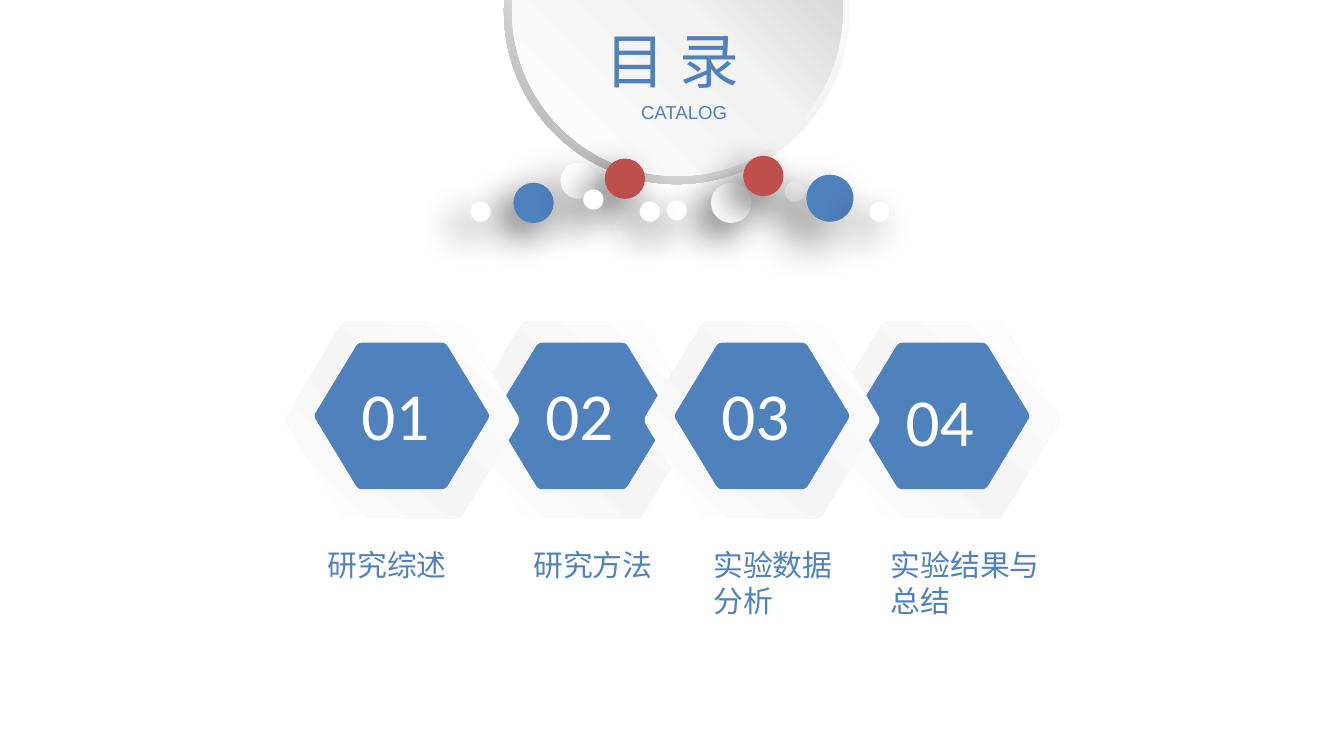
from lxml import etree
from pptx import Presentation
from pptx.dml.color import RGBColor
from pptx.enum import shapes, text
from pptx.oxml.ns import qn
from pptx.util import Inches, Pt

BLUE, RED, WHITE = "4F81BD", "C0504D", "FFFFFF"
CJK_FONT = "Noto Sans CJK SC"

# left, top, diameter, colour, shadow (opacity %, blur pt, distance pt)
NEAR, FAR = (60, 20, 10), (50, 25, 15)
BEADS = [
    (5.29, 1.36, 0.3, WHITE, NEAR),
    (4.96, 1.49, 0.15, WHITE, NEAR),
    (5.84, 1.35, 0.15, WHITE, NEAR),
    (4.17, 1.21, 0.27, WHITE, FAR),
    (4.5, 1.18, 0.3, RED, NEAR),
    (4.76, 1.5, 0.15, WHITE, NEAR),
    (6, 1.3, 0.35, BLUE, FAR),
    (3.82, 1.36, 0.3, BLUE, NEAR),
    (3.5, 1.5, 0.15, WHITE, NEAR),
    (5.53, 1.16, 0.3, RED, NEAR),
    (4.34, 1.41, 0.15, WHITE, NEAR),
    (6.47, 1.5, 0.15, WHITE, NEAR),
]

# chapter index, number box (left, top, width); later ones overlap earlier ones
CHAPTERS = [
    (3, 6.64, 2.77, 0.92),
    (1, 3.96, 2.72, 0.85),
    (0, 2.59, 2.72, 0.86),
    (2, 5.27, 2.72, 0.97),
]
FIRST_CENTER, CHAPTER_STEP = 2.99, 1.34

# label, left, width, height
LABELS = [
    ("研究综述", 2.34, 1.33, 0.37),
    ("研究方法", 3.87, 1.12, 0.37),
    ("实验数据分析", 5.21, 1.12, 0.64),
    ("实验结果与总结", 6.53, 1.43, 0.64),
]


def rgb(color):
    return RGBColor.from_string(color)


def paint(shape, color):
    """Give a shape a plain fill, with no outline and no shadow."""
    shape.shadow.inherit = False
    shape.line.fill.background()
    shape.fill.solid()
    shape.fill.fore_color.rgb = rgb(color)


def paint_gradient(shape, stops, angle):
    """Fill with (percent, colour) stops; the angle runs clockwise."""
    paint(shape, WHITE)
    shape.fill.gradient()
    shape.fill.gradient_angle = 360 - angle
    stop_list = shape._element.spPr.find(qn("a:gradFill")).find(qn("a:gsLst"))
    for old_stop in list(stop_list):
        stop_list.remove(old_stop)
    for percent, color in stops:
        stop = etree.SubElement(stop_list, qn("a:gs"), pos=str(percent * 1000))
        etree.SubElement(stop, qn("a:srgbClr"), val=color)


def add_shadow(shape, opacity, blur, distance):
    effects = shape._element.spPr.find(qn("a:effectLst"))
    shadow = etree.SubElement(
        effects, qn("a:outerShdw"), blurRad=str(Pt(blur)), dist=str(Pt(distance)),
        dir=str(135 * 60000), algn="tr", rotWithShape="0")
    color = etree.SubElement(shadow, qn("a:srgbClr"), val="000000")
    etree.SubElement(color, qn("a:alpha"), val=str(opacity * 1000))


def add_round(slide, kind, left, top, diameter):
    return slide.shapes.add_shape(
        kind, Inches(left), Inches(top), Inches(diameter), Inches(diameter))


def add_hexagon(slide, center_x, top, width, height):
    """Draw a flat-topped hexagon whose corners are softened by short curves."""
    tip, shoulder, half = 0.505 * width, 0.25 * width, height / 2
    center_y = top + half
    corners = [(tip, 0), (shoulder, half), (-shoulder, half),
               (-tip, 0), (-shoulder, -half), (shoulder, -half)]
    cut, steps = 0.05, 6
    points = []
    for i, (x, y) in enumerate(corners):
        before, after = corners[i - 1], corners[(i + 1) % 6]
        for step in range(steps + 1):
            t = step / steps
            back, ahead = cut * (1 - t) ** 2, cut * t ** 2
            points.append((
                Inches(center_x + x + back * (before[0] - x) + ahead * (after[0] - x)),
                Inches(center_y + y + back * (before[1] - y) + ahead * (after[1] - y))))
    builder = slide.shapes.build_freeform(*points[0])
    builder.add_line_segments(points[1:], close=True)
    return builder.convert_to_shape()


def add_text(slide, words, left, top, width, height, size, font, color=BLUE,
             anchor=text.MSO_ANCHOR.TOP, align=text.PP_ALIGN.LEFT):
    box = slide.shapes.add_textbox(
        Inches(left), Inches(top), Inches(width), Inches(height))
    frame = box.text_frame
    frame.word_wrap = True
    frame.vertical_anchor = anchor
    paragraph = frame.paragraphs[0]
    paragraph.text = words
    paragraph.alignment = align
    paragraph.font.size = Pt(size)
    paragraph.font.name = font
    paragraph.font.color.rgb = rgb(color)


def add_header(slide):
    ring = add_round(slide, shapes.MSO_SHAPE.DONUT, 3.75, -1.2, 2.57)
    ring.adjustments[0] = 0.049
    paint_gradient(ring, [(0, WHITE), (55, "F2F2F2"), (100, "A6A6A6")], 135)
    disc = add_round(slide, shapes.MSO_SHAPE.OVAL, 3.81, -1.15, 2.46)
    paint_gradient(disc, [(0, WHITE), (51, "F2F2F2"), (100, "BFBFBF")], 315)
    for left, top, diameter, color, shadow in BEADS:
        bead = add_round(slide, shapes.MSO_SHAPE.OVAL, left, top, diameter)
        paint(bead, color)
        add_shadow(bead, *shadow)
    add_text(slide, "目 录", 4.41, 0.13, 1.35, 0.64, 32, CJK_FONT)
    add_text(slide, "CATALOG", 4.34, 0.62, 1.5, 0.42, 10, "Arial",
             anchor=text.MSO_ANCHOR.MIDDLE, align=text.PP_ALIGN.CENTER)


def add_chapter(slide, index, left, top, width):
    center = FIRST_CENTER + index * CHAPTER_STEP
    paint(add_hexagon(slide, center, 2.38, 1.75, 1.49), WHITE)
    paint_gradient(add_hexagon(slide, center, 2.39, 1.74, 1.47),
                   [(0, WHITE), (47, "F5F5F5"), (100, WHITE)], 315)
    paint(add_hexagon(slide, center, 2.55, 1.3, 1.09), BLUE)
    add_text(slide, f"{index + 1:02}", left, top, width, 0.71, 36, "Calibri",
             WHITE, text.MSO_ANCHOR.MIDDLE)


def main():
    presentation = Presentation()
    presentation.slide_width = Inches(10)
    presentation.slide_height = Inches(10 * 9 / 16)
    slide = presentation.slides.add_slide(presentation.slide_layouts[6])
    add_header(slide)
    for chapter in CHAPTERS:
        add_chapter(slide, *chapter)
    for label, left, width, height in LABELS:
        add_text(slide, label, left, 4.02, width, height, 16, "Arial")
    presentation.save("out.pptx")


if __name__ == "__main__":
    main()
